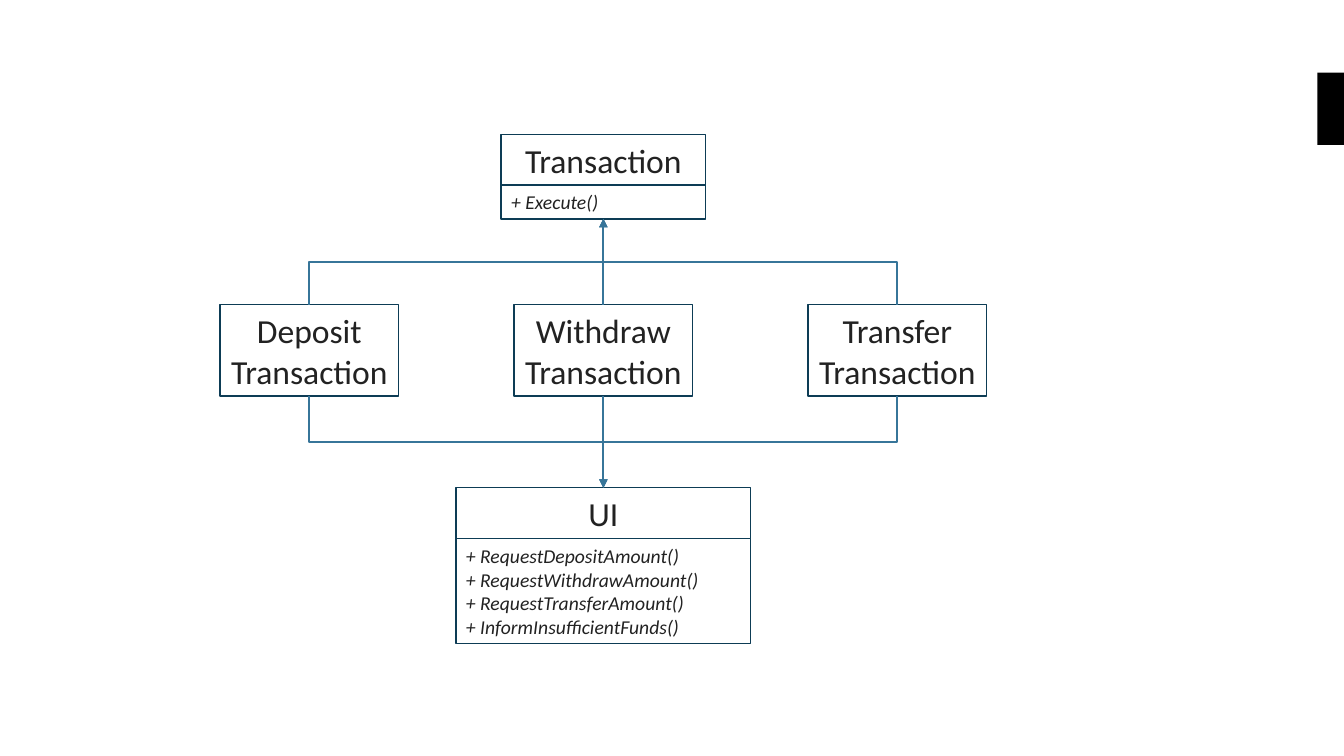
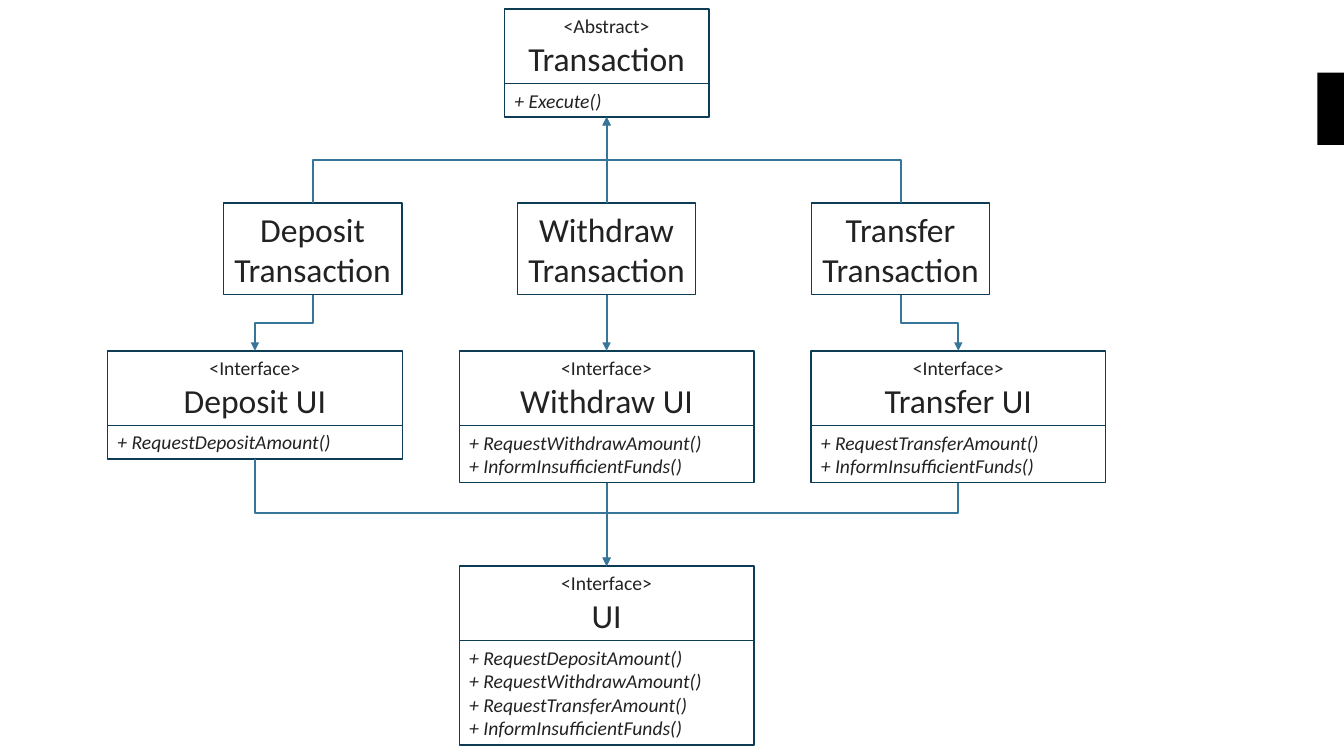
from dataclasses import dataclass
from typing import NamedTuple, Optional

from lxml import etree
from pptx import Presentation
from pptx import util as u
from pptx.dml.color import RGBColor
from pptx.enum import shapes, text
from pptx.oxml.ns import qn

WHITE = RGBColor(0xFF, 0xFF, 0xFF)
BLACK = RGBColor(0, 0, 0)
INK = RGBColor(0x22, 0x22, 0x22)
BORDER = RGBColor(0x0D, 0x3C, 0x55)
ARROW = RGBColor(0x37, 0x75, 0x99)

BASE_FONT = {"name": "Calibri", "bold": False}
NAME_FONT = {**BASE_FONT, "size": u.Pt(24), "italic": False}
STEREOTYPE_FONT = {**BASE_FONT, "size": u.Pt(14), "italic": False}
METHOD_FONT = {**BASE_FONT, "size": u.Pt(14), "italic": True}

NAME_LINE, SMALL_LINE, PADDING = 29.1, 16.9, 7.2
BASE_WIDTH, LEAF_WIDTH, UI_WIDTH = 146, 127.5, 210.5
LEAF_STEP, UI_STEP = 210, 251.2
TOP, BOTTOM = 0, 2

KINDS = ("Deposit", "Withdraw", "Transfer")
DEPOSIT, WITHDRAW, TRANSFER = (f"+ Request{kind}Amount()" for kind in KINDS)
INSUFFICIENT = "+ InformInsufficientFunds()"
ALL_METHODS = (DEPOSIT, WITHDRAW, TRANSFER, INSUFFICIENT)
KIND_METHODS = ((DEPOSIT,), (WITHDRAW, INSUFFICIENT), (TRANSFER, INSUFFICIENT))


@dataclass(frozen=True)
class UmlClass:
    center: float
    top: float
    width: float
    name: tuple[str, ...]
    methods: tuple[str, ...] = ()
    stereotype: str = ""


class Drawn(NamedTuple):
    header: object
    footer: object


class Line(NamedTuple):
    wording: str
    font: dict


def draw_compartment(slide, left: float, top: float, width: float, height: float,
                     lines: list[Line], align, wrap: bool):
    compartment = slide.shapes.add_shape(
        shapes.MSO_SHAPE.RECTANGLE, u.Pt(left), u.Pt(top), u.Pt(width), u.Pt(height))
    compartment.shadow.inherit = False
    compartment.fill.solid()
    compartment.fill.fore_color.rgb = WHITE
    compartment.line.color.rgb = BORDER
    compartment.line.width = u.Pt(1)
    frame = compartment.text_frame
    frame.word_wrap = wrap
    frame.vertical_anchor = text.MSO_ANCHOR.MIDDLE
    for index, line in enumerate(lines):
        paragraph = frame.add_paragraph() if index else frame.paragraphs[0]
        paragraph.alignment = align
        run = paragraph.add_run()
        run.text = line.wording
        run.font.color.rgb = INK
        for attribute, value in line.font.items():
            setattr(run.font, attribute, value)
    return compartment


def draw_class(slide, uml: UmlClass) -> Drawn:
    left = uml.center - uml.width / 2
    lines = [Line(part, NAME_FONT) for part in uml.name]
    height = PADDING + NAME_LINE * len(lines)
    if uml.stereotype:
        lines.insert(0, Line(uml.stereotype, STEREOTYPE_FONT))
        height += SMALL_LINE
    header = draw_compartment(slide, left, uml.top, uml.width, height, lines,
                              text.PP_ALIGN.CENTER, bool(uml.methods))
    if not uml.methods:
        return Drawn(header, header)
    footer = draw_compartment(
        slide, left, uml.top + height, uml.width, PADDING + SMALL_LINE * len(uml.methods),
        [Line(method, METHOD_FONT) for method in uml.methods], text.PP_ALIGN.LEFT, True)
    return Drawn(header, footer)


def style_arrow(arrow) -> None:
    arrow.line.color.rgb = ARROW
    arrow.line.width = u.Pt(1.5)
    properties = arrow._element.spPr
    etree.SubElement(properties.find(qn("a:ln")), qn("a:tailEnd"), type="triangle")
    etree.SubElement(properties, qn("a:effectLst"))


def draw_elbow(slide, x1: int, y1: int, x2: int, y2: int, bend: float) -> None:
    length, span = abs(y2 - y1), abs(x2 - x1)
    left, top = (x1 + x2 - length) // 2, (y1 + y2 - span) // 2
    flip_h, flip_v = x2 > x1, y2 < y1
    xs, ys = (left, left + length), (top, top + span)
    arrow = slide.shapes.add_connector(
        shapes.MSO_CONNECTOR.ELBOW, xs[flip_h], ys[flip_v], xs[not flip_h], ys[not flip_v])
    properties = arrow._element.spPr
    quarter_turns = 1 if flip_h == flip_v else 3
    properties.find(qn("a:xfrm")).set("rot", str(quarter_turns * 90 * 60000))
    geometry = properties.find(qn("a:prstGeom"))
    guides = geometry.find(qn("a:avLst"))
    if guides is None:
        guides = etree.SubElement(geometry, qn("a:avLst"))
    etree.SubElement(guides, qn("a:gd"), name="adj1", fmla=f"val {round(bend * 100000)}")
    style_arrow(arrow)


def link(slide, source: Drawn, target: Drawn, upward: bool = False,
         bend_at: Optional[float] = None) -> None:
    start, end = (source.header, target.footer) if upward else (source.footer, target.header)
    x1, x2 = (box.left + box.width // 2 for box in (start, end))
    y1 = start.top if upward else start.top + start.height
    y2 = end.top + end.height if upward else end.top
    if abs(x1 - x2) > u.Pt(1):
        bend = 0.5 if bend_at is None else (u.Pt(bend_at) - y1) / (y2 - y1)
        draw_elbow(slide, x1, y1, x2, y2, bend)
        return
    arrow = slide.shapes.add_connector(shapes.MSO_CONNECTOR.STRAIGHT, x1, y1, x2, y2)
    arrow.begin_connect(start, TOP if upward else BOTTOM)
    arrow.end_connect(end, BOTTOM if upward else TOP)
    style_arrow(arrow)


def new_slide(deck):
    slide = deck.slides.add_slide(deck.slide_layouts[6])
    tab = slide.shapes.add_shape(
        shapes.MSO_SHAPE.RECTANGLE, u.Pt(941), u.Pt(51.8), u.Pt(19), u.Pt(51.8))
    tab.shadow.inherit = False
    tab.fill.solid()
    tab.fill.fore_color.rgb = BLACK
    tab.line.fill.background()
    return slide


def draw_transactions(slide, center: float, base_top: float, leaf_top: float,
                      stereotype: str = "") -> list[Drawn]:
    base = draw_class(slide, UmlClass(
        center, base_top, BASE_WIDTH, ("Transaction",), ("+ Execute()",), stereotype))
    leaves = [
        draw_class(slide, UmlClass(
            center + column * LEAF_STEP, leaf_top, LEAF_WIDTH, (kind, "Transaction")))
        for column, kind in enumerate(KINDS, start=-1)]
    for leaf in leaves:
        link(slide, leaf, base, upward=True)
    return leaves


def build_shared_ui(deck) -> None:
    slide, center = new_slide(deck), 431
    leaves = draw_transactions(slide, center, 96, 217.6)
    ui = draw_class(slide, UmlClass(center, 348.4, UI_WIDTH, ("UI",), ALL_METHODS))
    for leaf in leaves:
        link(slide, leaf, ui)


def build_segregated_ui(deck) -> None:
    slide, center = new_slide(deck), 433.3
    leaves = draw_transactions(slide, center, 6.4, 145, "<Abstract>")
    ui = draw_class(slide, UmlClass(
        center, 404.2, UI_WIDTH, ("UI",), ALL_METHODS, "<Interface>"))
    for column, (leaf, kind, methods) in enumerate(zip(leaves, KINDS, KIND_METHODS), start=-1):
        interface = draw_class(slide, UmlClass(
            center + column * UI_STEP, 250.6, UI_WIDTH, (f"{kind} UI",), methods,
            "<Interface>"))
        link(slide, leaf, interface)
        link(slide, interface, ui, bend_at=366.4)


def main() -> None:
    deck = Presentation()
    deck.slide_width, deck.slide_height = u.Pt(960), u.Pt(540)
    build_shared_ui(deck)
    build_segregated_ui(deck)
    deck.save("out.pptx")


if __name__ == "__main__":
    main()
